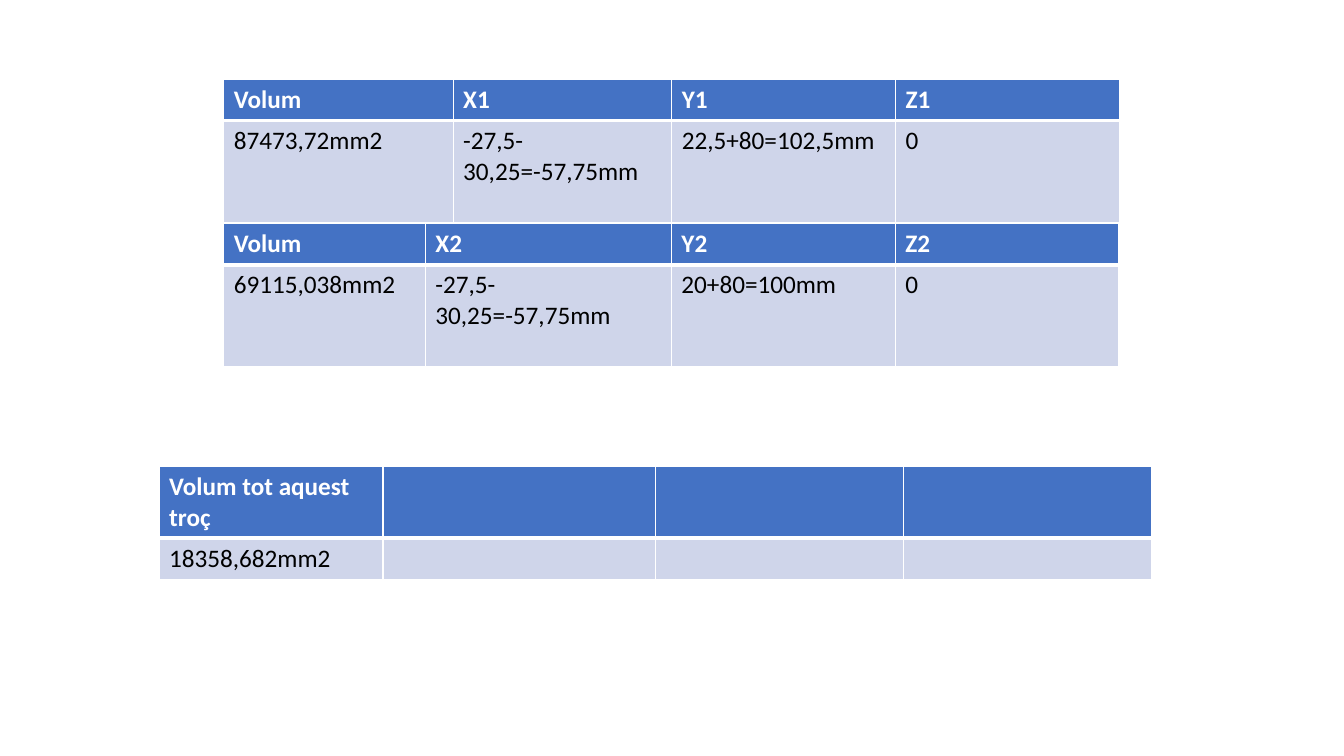
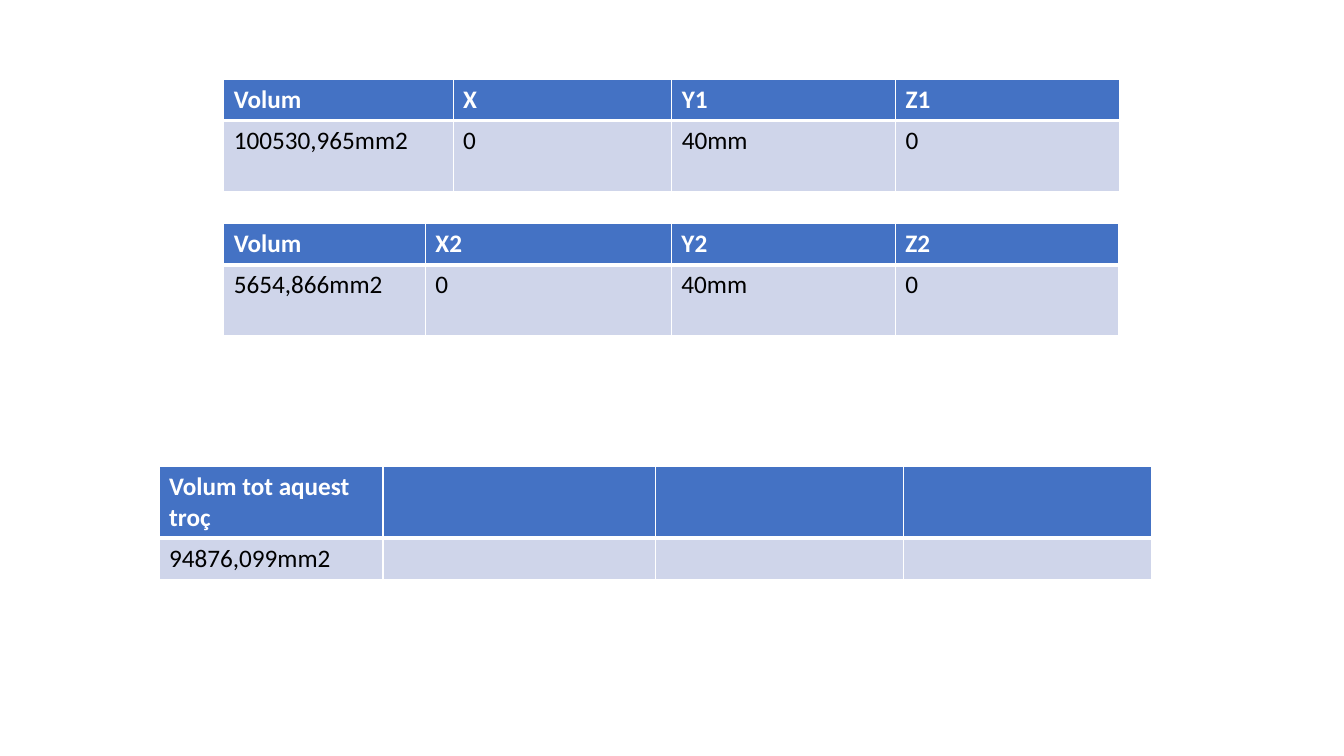
from lxml.etree import SubElement
from pptx import Presentation
from pptx.dml.color import RGBColor
from pptx.oxml.ns import qn
from pptx.util import Cm, Pt

WHITE = RGBColor(0xFF, 0xFF, 0xFF)
BLACK = RGBColor(0x00, 0x00, 0x00)
HEADER_BLUE = RGBColor(0x44, 0x72, 0xC4)
BODY_BLUE = RGBColor(0xCF, 0xD5, 0xEA)
FONT = "Calibri"
THIN, THICK = Pt(1), Pt(3)

# Lengths in cm, the same on both slides
PLACES = [
    {"left": 5.64, "top": 2.01, "columns": (5.78, 5.51, 5.64, 5.64)},
    {"left": 5.64, "top": 5.64, "columns": (5.08, 6.2, 5.64, 5.64)},
    {"left": 4.01, "top": 11.76, "columns": (5.64, 6.86, 6.25, 6.25)},
]
LINE_ROW = 1.03
TOTAL_ROWS = (1.77, LINE_ROW)
TOTAL_HEADER = ("Volum tot aquest troç", "", "", "")

PIECES = [
    {
        "body_row": 2.57,
        "volumes": [
            (("Volum", "X1", "Y1", "Z1"),
             ("87473,72mm2", "-27,5-30,25=-57,75mm", "22,5+80=102,5mm", "0")),
            (("Volum", "X2", "Y2", "Z2"),
             ("69115,038mm2", "-27,5-30,25=-57,75mm", "20+80=100mm", "0")),
        ],
        "total": "18358,682mm2",
    },
    {
        "body_row": 1.79,
        "volumes": [
            (("Volum", "X", "Y1", "Z1"), ("100530,965mm2", "0", "40mm", "0")),
            (("Volum", "X2", "Y2", "Z2"), ("5654,866mm2", "0", "40mm", "0")),
        ],
        "total": "94876,099mm2",
    },
]


def add_borders(cell, top, bottom):
    """Draw white cell borders; must run before the fill is set."""
    properties = cell._tc.get_or_add_tcPr()
    for side, width in (("L", THIN), ("R", THIN), ("T", top), ("B", bottom)):
        line = SubElement(properties, qn(f"a:ln{side}"), w=str(width))
        solid = SubElement(line, qn("a:solidFill"))
        SubElement(solid, qn("a:srgbClr"), val=str(WHITE))


def fill_cell(cell, text, is_header):
    if is_header:
        add_borders(cell, THIN, THICK)
    else:
        add_borders(cell, THICK, THIN)
    cell.fill.solid()
    cell.fill.fore_color.rgb = HEADER_BLUE if is_header else BODY_BLUE
    cell.text = text
    font = cell.text_frame.paragraphs[0].font
    font.name, font.size, font.bold = FONT, Pt(18), is_header
    font.color.rgb = WHITE if is_header else BLACK


def add_volume_table(slide, place, rows, heights):
    columns = place["columns"]
    table = slide.shapes.add_table(
        len(rows), len(columns), Cm(place["left"]), Cm(place["top"]),
        Cm(sum(columns)), Cm(sum(heights))).table
    table.horz_banding = False
    for column, width in zip(table.columns, columns):
        column.width = Cm(width)
    for index, (row, texts, height) in enumerate(zip(table.rows, rows, heights)):
        row.height = Cm(height)
        for cell, text in zip(row.cells, texts):
            fill_cell(cell, text, index == 0)


def main():
    deck = Presentation()
    deck.slide_width, deck.slide_height = Cm(33.87), Cm(19.05)
    for piece in PIECES:
        slide = deck.slides.add_slide(deck.slide_layouts[6])
        *volume_places, total_place = PLACES
        for place, rows in zip(volume_places, piece["volumes"]):
            add_volume_table(slide, place, rows, (LINE_ROW, piece["body_row"]))
        total_rows = (TOTAL_HEADER, (piece["total"], "", "", ""))
        add_volume_table(slide, total_place, total_rows, TOTAL_ROWS)
    deck.save("out.pptx")


if __name__ == "__main__":
    main()
